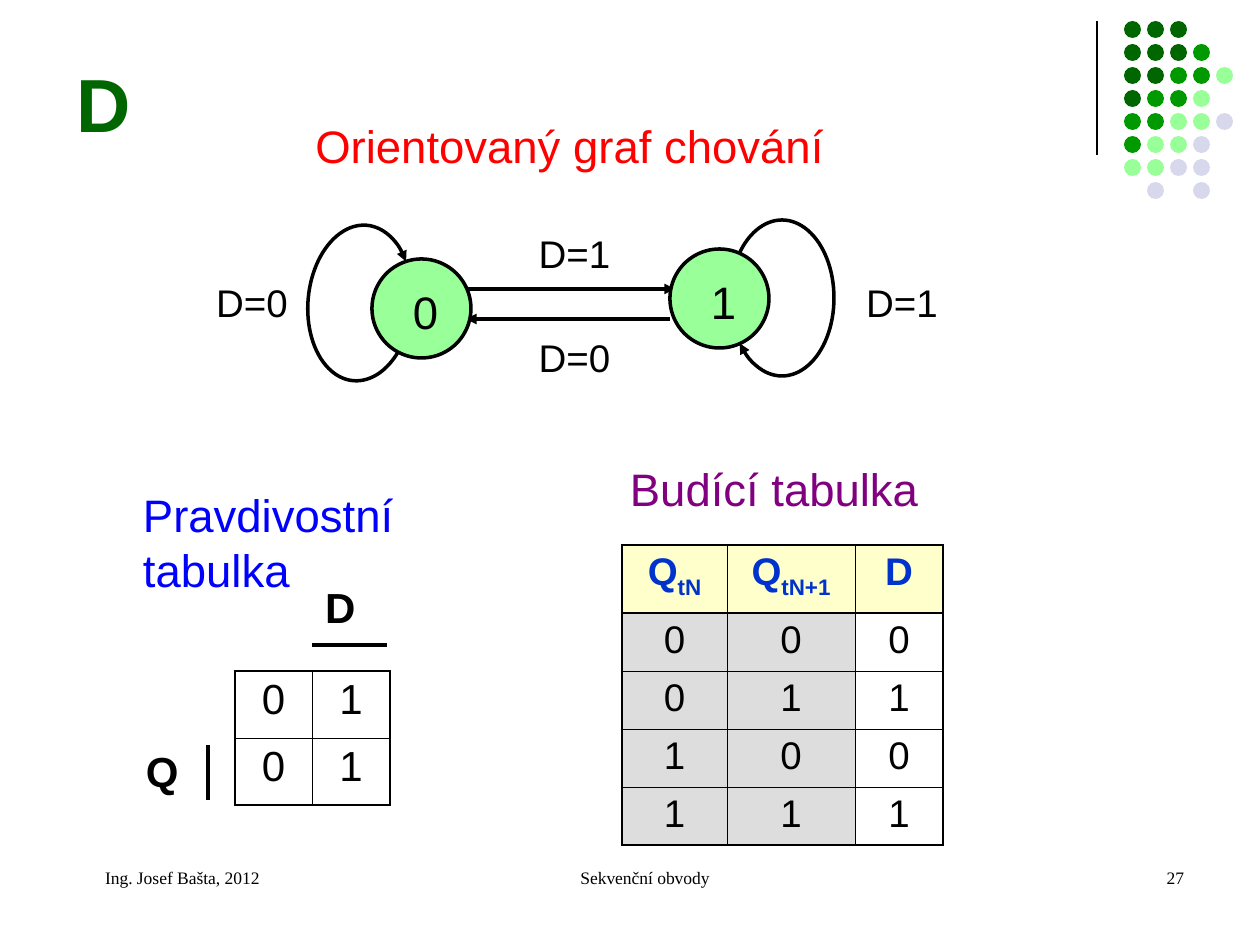
from pptx import Presentation
from pptx.dml.color import RGBColor
from pptx.enum.shapes import MSO_CONNECTOR, MSO_SHAPE
from pptx.enum.text import MSO_ANCHOR, MSO_AUTO_SIZE, PP_ALIGN
from pptx.oxml.ns import qn
from pptx.util import Emu, Pt
from lxml.etree import SubElement

PX = 914400 / 126
LEFT, CENTER, RIGHT = PP_ALIGN.LEFT, PP_ALIGN.CENTER, PP_ALIGN.RIGHT


class Theme:
    font, footer_font = "Arial", "Times New Roman"
    title, heading, axis, label, footer = 43, 26, 24, 22, 10
    black, green, red, blue, purple = "000000", "006600", "FF0000", "0000FF", "800080"
    state, header_text, header_fill, given_fill = "99FF99", "0033CC", "FFFFCC", "DDDDDD"
    dots = {"a": "006600", "b": "009900", "c": "99FF99", "d": "D8D8EC"}
    thin, table_edge, truth_edge, stroke = 0.45, 1.47, 1.08, 2


# Content; boxes are (left, top, width, height) in px
TITLE = ("D", (64, 46, 1040, 108))
DOT_ROWS = ["aaa", "aaab", "aabbc", "abbc", "bbccd", "bccd", "ccdd", " d d"]
HEADINGS = [
    ("Orientovaný graf chování", (273, 113, 581, 66), Theme.red, CENTER),
    ("Budící tabulka", (617, 456, 392, 66), Theme.purple, LEFT),
    ("Pravdivostní tabulka", (130, 482, 291, 121), Theme.blue, LEFT),
]
EDGE_LABELS = [
    ("D=0", (188, 274, 115, 58)), ("D=1", (838, 274, 115, 58)),
    ("D=1", (471, 225, 194, 58)), ("D=0", (471, 329, 194, 58)),
]
STATES = [("0", 372, 259), ("1", 670, 249)]
STATE_SIZE = 99
TRANSITIONS = [(466, 289, 675, 289), (670, 319, 466, 319)]
LOOP_SIZE = (104, 156)
LOOPS = [(308, 225, 47, 313, 5), (730, 220, 227, 133, 0)]  # left, top, from, to, tilt
AXES = [("D", (312, 576, 59, 63)), ("Q", (133, 740, 59, 63))]
AXIS_BARS = [(312, 645, 387, 645), (208, 745, 208, 800)]
TRUTH = [["0", "1"], ["0", "1"]]
EXCITATION = [
    [("Q", "tN"), ("Q", "tN+1"), ("D",)],
    ["0", "0", "0"], ["0", "1", "1"], ["1", "0", "0"], ["1", "1", "1"],
]
FOOTERS = [
    ("Ing. Josef Bašta, 2012", (63, 861, 294, 63), LEFT),
    ("Sekvenční obvody", (431, 861, 399, 63), CENTER),
    ("27", (903, 861, 294, 63), RIGHT),
]


def px(*values):
    return [Emu(round(v * PX)) for v in values]


def rgb(color):
    return RGBColor.from_string(color)


def style(p, size, color, bold=False, align=LEFT, font=Theme.font):
    p.alignment = align
    for r in p.runs:
        r.font.name, r.font.size, r.font.bold = font, Pt(size), bold
        r.font.color.rgb = rgb(color)


def add_text(text, box, size, color, inset=(13, 5, 0, 6), **look):
    tf = s.shapes.add_textbox(*px(*box)).text_frame
    tf.word_wrap = True
    tf.margin_left, tf.margin_top, tf.margin_right, tf.margin_bottom = px(*inset)
    tf.text = text
    style(tf.paragraphs[0], size, color, **look)


def set_line(sp, width, arrow=False):
    sp.line.color.rgb = rgb(Theme.black)
    sp.line.width = Pt(width)
    if arrow:
        SubElement(sp.line._get_or_add_ln(), qn("a:tailEnd"), type="triangle")


def add_line(ends, width, arrow=False):
    sp = s.shapes.add_connector(MSO_CONNECTOR.STRAIGHT, *px(*ends))
    set_line(sp, width, arrow)
    SubElement(sp._element.spPr, qn("a:effectLst"))


def add_circle(x, y, size, color):
    sp = s.shapes.add_shape(MSO_SHAPE.OVAL, *px(x, y, size, size))
    sp.shadow.inherit = False
    sp.fill.solid()
    sp.fill.fore_color.rgb = rgb(color)
    sp.line.fill.background()
    return sp


def add_loop(x, y, start, end, tilt):
    sp = s.shapes.add_shape(MSO_SHAPE.ARC, *px(x, y, *LOOP_SIZE))
    # Angles are stored in 60000ths of a degree, adjustments in 100000ths
    sp.adjustments[0], sp.adjustments[1] = start * 0.6, end * 0.6
    sp.rotation = tilt
    sp.shadow.inherit = False
    sp.fill.background()
    set_line(sp, Theme.stroke, arrow=True)


def set_borders(cell, **widths):
    tc_pr = cell._tc.get_or_add_tcPr()
    for side in "LRTB":
        ln = SubElement(tc_pr, qn("a:ln" + side), w=str(Pt(widths[side])))
        SubElement(SubElement(ln, qn("a:solidFill")), qn("a:srgbClr"), val=Theme.black)


def add_table(rows, x, y, widths, heights, edge, size, header=False, given=0):
    n, m = len(rows), len(widths)
    table = s.shapes.add_table(n, m, *px(x, y, sum(widths), sum(heights))).table
    table.first_row = table.horz_banding = False
    for column, width in zip(table.columns, widths):
        column.width = px(width)[0]
    heavy_rows = {0, n} | ({1} if header else set())
    for i, row in enumerate(rows):
        table.rows[i].height = px(heights[i])[0]
        for j, parts in enumerate(row):
            cell, head = table.cell(i, j), header and i == 0
            cell.margin_top, cell.margin_bottom = px(6, 5)
            p = cell.text_frame.paragraphs[0]
            for k, part in enumerate(parts):
                r = p.add_run()
                r.text = part
                if k:
                    r.font._element.set("baseline", "-25000")
            style(p, size, Theme.header_text if head else Theme.black, head, CENTER)
            set_borders(cell,
                        L=edge if j == 0 else Theme.thin,
                        R=edge if j == m - 1 else Theme.thin,
                        T=edge if i in heavy_rows else Theme.thin,
                        B=edge if i + 1 in heavy_rows else Theme.thin)
            if head or j < given:
                cell.fill.solid()
                cell.fill.fore_color.rgb = rgb(Theme.header_fill if head else Theme.given_fill)
            else:
                cell.fill.background()


prs = Presentation()
prs.slide_width, prs.slide_height = px(1260, 945)
s = prs.slides.add_slide(prs.slide_layouts[5])

# Corner decoration
add_line((1097, 21, 1097, 155), 0.75)
for i, row in enumerate(DOT_ROWS):
    for j, key in enumerate(row):
        if key != " ":
            add_circle(1124 + 23 * j, 21 + 23 * i, 17, Theme.dots[key])

# Title and headings
title = s.shapes.title
title.left, title.top, title.width, title.height = px(*TITLE[1])
tf = title.text_frame
tf.text = TITLE[0]
tf.auto_size, tf.vertical_anchor = MSO_AUTO_SIZE.NONE, MSO_ANCHOR.BOTTOM
style(tf.paragraphs[0], Theme.title, Theme.green, bold=True)
for text, box, color, align in HEADINGS:
    add_text(text, box, Theme.heading, color, align=align)

# State graph
for ends in TRANSITIONS:
    add_line(ends, Theme.stroke, arrow=True)
for loop in LOOPS:
    add_loop(*loop)
for text, x, y in STATES:
    set_line(add_circle(x, y, STATE_SIZE, Theme.state), Theme.stroke)
    add_text(text, (x + 5, y + 20, 84, 66), Theme.heading, Theme.black, align=CENTER)
for text, box in EDGE_LABELS:
    add_text(text, box, Theme.label, Theme.black, align=CENTER)

# Truth table with its axes
add_table(TRUTH, 235, 671, [77, 78], [67, 67], Theme.truth_edge, Theme.axis)
for ends in AXIS_BARS:
    add_line(ends, Theme.stroke)
for text, box in AXES:
    add_text(text, box, Theme.axis, Theme.black, inset=(13, 6, 13, 6), bold=True)

# Excitation table
add_table(EXCITATION, 622, 545, [105, 128, 88], [68] + [58] * 4,
          Theme.table_edge, Theme.label, header=True, given=2)

# Footer
for text, box, align in FOOTERS:
    add_text(text, box, Theme.footer, Theme.black, inset=(42, 6, 13, 6),
             align=align, font=Theme.footer_font)

prs.save("out.pptx")
